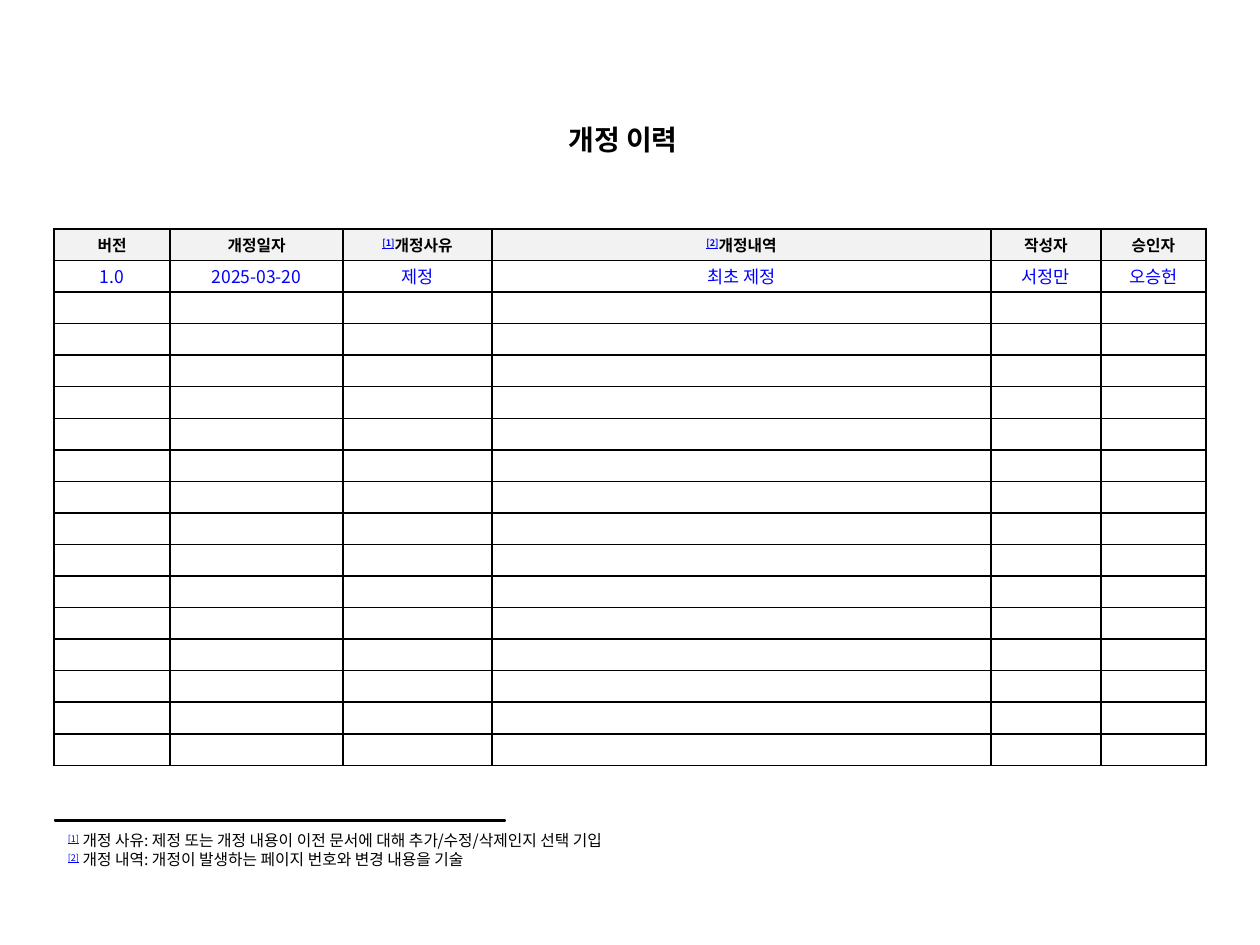
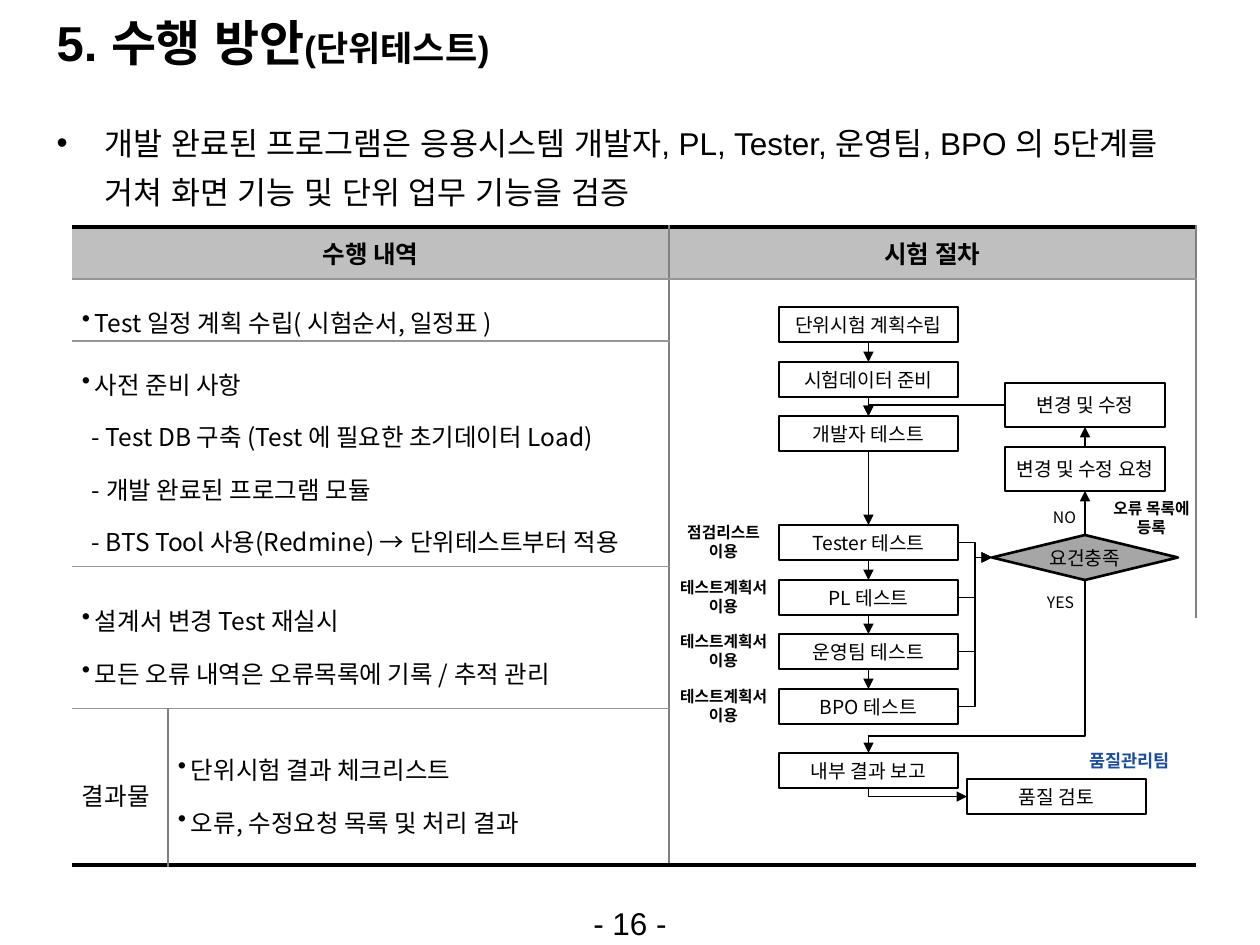
from lxml import etree
from pptx import Presentation
from pptx.dml.color import RGBColor
from pptx.enum.shapes import MSO_CONNECTOR, MSO_SHAPE
from pptx.enum.text import MSO_ANCHOR, MSO_AUTO_SIZE, PP_ALIGN
from pptx.oxml.ns import qn
from pptx.util import Inches, Pt

LEFT, CENTER = PP_ALIGN.LEFT, PP_ALIGN.CENTER
TOP, MIDDLE = MSO_ANCHOR.TOP, MSO_ANCHOR.MIDDLE
RECTANGLE, DECISION = MSO_SHAPE.RECTANGLE, MSO_SHAPE.FLOWCHART_DECISION
STRAIGHT, ELBOW = MSO_CONNECTOR.STRAIGHT, MSO_CONNECTOR.ELBOW

BLACK = RGBColor(0x00, 0x00, 0x00)
WHITE = RGBColor(0xFF, 0xFF, 0xFF)
BLUE = RGBColor(0x00, 0x00, 0xFF)
NAVY = RGBColor(0x1D, 0x4D, 0x93)
PALE_GRAY = RGBColor(0xF2, 0xF2, 0xF2)
HEADER_GRAY = RGBColor(0xBF, 0xBF, 0xBF)
DECISION_GRAY = RGBColor(0xA6, 0xA6, 0xA6)
ROW_GRAY = RGBColor(0x96, 0x96, 0x96)
COLUMN_GRAY = RGBColor(0x80, 0x80, 0x80)

KOREAN_FONT, LATIN_FONT = "Noto Sans CJK KR", "Arial"
NO_STYLE = "{2D5ABB26-0587-4C30-8999-92F81FD0307C}"
PIXELS_PER_INCH = 126

HISTORY_TITLE = "개정 이력"
HISTORY_HEADERS = ["버전", "개정일자", ("[1]", "개정사유"), ("[2]", "개정내역"), "작성자", "승인자"]
HISTORY_ENTRIES = [["1.0", "2025-03-20", "제정", "최초 제정", "서정만", "오승헌"]]
HISTORY_WIDTHS = [116, 173, 149, 499, 110, 105]
HISTORY_ROWS, HISTORY_HEIGHT = 17, 537
FOOTNOTES = [
    ("[1]", " 개정 사유: 제정 또는 개정 내용이 이전 문서에 대해 추가/수정/삭제인지 선택 기입"),
    ("[2]", " 개정 내역: 개정이 발생하는 페이지 번호와 변경 내용을 기술"),
]

METHOD_TITLE, METHOD_SUBTITLE = "5. 수행 방안", "(단위테스트)"
METHOD_SUMMARY = ("개발 완료된 프로그램은 응용시스템 개발자, PL, Tester, 운영팀, BPO 의 5단계를 "
                  "거쳐 화면 기능 및 단위 업무 기능을 검증")
PAGE_NUMBER = "- 16 -"
METHOD_WIDTHS = [96, 501, 527]
METHOD_HEIGHTS = [52, 62, 226, 51, 91, 156]
METHOD_HEADERS = {0: "수행 내역", 2: "시험 절차"}
METHOD_MERGES = [((0, 0), (0, 1)), ((1, 0), (1, 1)), ((2, 0), (2, 1)), ((3, 0), (4, 1))]
METHOD_ITEMS = {
    (1, 0): ["• Test 일정 계획 수립( 시험순서, 일정표 )"],
    (2, 0): ["• 사전 준비 사항", "- Test DB 구축 (Test 에 필요한 초기데이터 Load)",
             "- 개발 완료된 프로그램 모듈", "- BTS Tool 사용(Redmine) → 단위테스트부터 적용"],
    (3, 0): ["• 설계서 변경 Test 재실시", "• 모든 오류 내역은 오류목록에 기록 / 추적 관리"],
    (5, 0): ["결과물"],
    (5, 1): ["• 단위시험 결과 체크리스트", "• 오류, 수정요청 목록 및 처리 결과"],
}

STEP_LEFT, STEP_WIDTH, STEP_HEIGHT = 779, 179, 35
STEPS = [("단위시험 계획수립", 307), ("시험데이터 준비", 362), ("개발자 테스트", 416),
         ("Tester 테스트", 525), ("PL 테스트", 580), ("운영팀 테스트", 634),
         ("BPO 테스트", 689), ("내부 결과 보고", 753)]
TEST_TOPS = [top for text, top in STEPS[3:7]]
TEST_NOTES = [["점검리스트", "이용"]] + [["테스트계획서 이용"]] * 3
REVISIONS = [("변경 및 수정", 383), ("변경 및 수정 요청", 447)]
REVISION_LEFT, REVISION_WIDTH, REVISION_HEIGHT = 1005, 160, 44
DECISION_BOX = (992, 535, 186, 45)
REVIEW_BOX = (967, 779, 179, 35)
FLOW_LABELS = [
    (["YES"], (1047, 585, 49, 35), LEFT, 9, False, BLACK),
    (["NO"], (1053, 500, 43, 35), LEFT, 9, False, BLACK),
    (["오류 목록에", "등록"], (1094, 500, 115, 35), CENTER, 9, True, BLACK),
    (["품질관리팀"], (1089, 743, 105, 35), LEFT, 10, True, NAVY),
]


def px(value):
    return round(value * 914400 / PIXELS_PER_INCH)


def box_px(box):
    return [px(value) for value in box]


def style_paragraph(paragraph, size, bold=False, color=BLACK, align=LEFT, font_name=KOREAN_FONT):
    paragraph.alignment = align
    font = paragraph.font
    font.size, font.bold, font.name = Pt(size), bold, font_name
    font.color.rgb = color
    etree.SubElement(font._element, qn("a:ea"), typeface=font_name)


def set_indent(paragraph, left, first, bullet=False):
    properties = paragraph._p.get_or_add_pPr()
    properties.set("marL", str(px(left)))
    properties.set("indent", str(px(first)))
    if bullet:
        etree.SubElement(properties, qn("a:buChar"), char="•")


def write_text(frame, lines, size, **style):
    for index, line in enumerate(lines):
        paragraph = frame.paragraphs[0] if index == 0 else frame.add_paragraph()
        style_paragraph(paragraph, size, **style)
        if isinstance(line, tuple):
            mark, line = line
            run = paragraph.add_run()
            run.text = mark
            run.font.underline = True
            run.font.color.rgb = BLUE
            run.font._element.set("baseline", "30000")
        paragraph.add_run().text = line


def write_items(frame, items):
    for index, item in enumerate(items):
        paragraph = frame.paragraphs[0] if index == 0 else frame.add_paragraph()
        paragraph.line_spacing = 1.3
        if index:
            paragraph.space_before = Pt(3.5)
        bullet = item.startswith("• ")
        if bullet:
            set_indent(paragraph, 13, -13, True)
        elif item.startswith("- "):
            set_indent(paragraph, 10, 0)
        style_paragraph(paragraph, 14)
        paragraph.add_run().text = item[2:] if bullet else item


def set_margins(target, horizontal, vertical):
    target.margin_left = target.margin_right = px(horizontal)
    target.margin_top = target.margin_bottom = px(vertical)


def place(placeholder, box, anchor):
    placeholder.left, placeholder.top, placeholder.width, placeholder.height = box_px(box)
    frame = placeholder.text_frame
    frame.auto_size, frame.word_wrap = MSO_AUTO_SIZE.NONE, True
    frame.vertical_anchor = anchor
    return frame


def add_label(slide, lines, box, size, margins=(0, 0), **style):
    frame = slide.shapes.add_textbox(*box_px(box)).text_frame
    frame.word_wrap, frame.vertical_anchor = True, MIDDLE
    set_margins(frame, *margins)
    write_text(frame, lines, size, **style)


def add_box(slide, box, text="", kind=RECTANGLE, fill=WHITE, line_width=0.75):
    shape = slide.shapes.add_shape(kind, *box_px(box))
    shape.shadow.inherit = False
    shape.fill.solid()
    shape.fill.fore_color.rgb = fill
    shape.line.color.rgb = BLACK
    shape.line.width = Pt(line_width)
    if text:
        shape.text_frame.word_wrap = False
        shape.text_frame.vertical_anchor = MIDDLE
        write_text(shape.text_frame, [text], 11, align=CENTER)


def add_arrow(slide, start, end, kind=STRAIGHT, downward=False, preset=None, bend=None):
    if downward:
        center_x, center_y = (start[0] + end[0]) / 2, (start[1] + end[1]) / 2
        half_x, half_y = (end[0] - start[0]) / 2, (end[1] - start[1]) / 2
        start = (center_x - half_y, center_y + half_x)
        end = (center_x + half_y, center_y - half_x)
    connector = slide.shapes.add_connector(kind, *box_px(start + end))
    connector.line.color.rgb = BLACK
    connector.line.width = Pt(0.75)
    properties = connector._element.spPr
    etree.SubElement(properties.find(qn("a:ln")), qn("a:tailEnd"), type="triangle")
    etree.SubElement(properties, qn("a:effectLst"))
    geometry = properties.find(qn("a:prstGeom"))
    if downward:
        properties.find(qn("a:xfrm")).set("rot", "5400000")
    if preset:
        geometry.set("prst", preset)
    if bend:
        etree.SubElement(geometry.find(qn("a:avLst")), qn("a:gd"), name="adj1", fmla=f"val {bend}")


def set_borders(cell, borders):
    properties = cell._tc.get_or_add_tcPr()
    index = 0
    for side in "LRTB":
        if side in borders:
            color, width = borders[side]
            line = etree.Element(qn(f"a:ln{side}"), w=str(Pt(width)))
            fill = etree.SubElement(line, qn("a:solidFill"))
            etree.SubElement(fill, qn("a:srgbClr"), val=str(color))
            properties.insert(index, line)
            index += 1


def add_grid(slide, left, top, widths, heights):
    frame = slide.shapes.add_table(len(heights), len(widths), px(left), px(top),
                                   px(sum(widths)), px(sum(heights)))
    table = frame.table
    table.first_row = table.horz_banding = False
    table._tbl.tblPr.find(qn("a:tableStyleId")).text = NO_STYLE
    for column, width in zip(table.columns, widths):
        column.width = px(width)
    for row, height in zip(table.rows, heights):
        row.height = px(height)
    for cell in table.iter_cells():
        cell.fill.background()
        cell.vertical_anchor = MIDDLE
        set_margins(cell, 0, 0)
    return table


def fill_cell(cell, color):
    cell.fill.solid()
    cell.fill.fore_color.rgb = color


def finish_empty_cells(table):
    for cell in table.iter_cells():
        if not cell.text_frame.text:
            etree.SubElement(cell.text_frame.paragraphs[0]._p, qn("a:endParaRPr"), sz="900")


def build_history(presentation):
    slide = presentation.slides.add_slide(presentation.slide_layouts[5])
    frame = place(slide.shapes.title, (430, 116, 386, 46), MIDDLE)
    write_text(frame, [HISTORY_TITLE], 16, bold=True, align=CENTER)
    add_label(slide, FOOTNOTES, (55, 825, 629, 50), 9, margins=(13, 6))
    add_box(slide, (55, 820, 450, 1), fill=BLACK)

    table = add_grid(slide, 54, 229, HISTORY_WIDTHS, [HISTORY_HEIGHT / HISTORY_ROWS] * HISTORY_ROWS)
    for cell in table.iter_cells():
        set_borders(cell, dict.fromkeys("LRTB", (BLACK, 1)))
    for column, header in enumerate(HISTORY_HEADERS):
        cell = table.cell(0, column)
        fill_cell(cell, PALE_GRAY)
        set_margins(cell, 5, 3)
        write_text(cell.text_frame, [header], 9, bold=True, align=CENTER)
    for row, entry in enumerate(HISTORY_ENTRIES, 1):
        for column, value in enumerate(entry):
            write_text(table.cell(row, column).text_frame, [value], 10, color=BLUE, align=CENTER)
    finish_empty_cells(table)


def build_method_table(slide):
    table = add_grid(slide, 72, 227, METHOD_WIDTHS, METHOD_HEIGHTS)
    last_row = len(METHOD_HEIGHTS) - 1
    for row in range(last_row + 1):
        for column in range(len(METHOD_WIDTHS)):
            borders = {}
            if row == 0:
                borders["T"] = (BLACK, 2.25)
            if row == last_row:
                borders["B"] = (BLACK, 2.25)
            elif row == 0 or column < 2:
                borders["B"] = (ROW_GRAY, 0.75)
            if column == 2:
                borders["L"] = (COLUMN_GRAY, 1)
            if (row, column) == (last_row, 0):
                borders["R"] = (COLUMN_GRAY, 1)
            cell = table.cell(row, column)
            set_borders(cell, borders)
            if row == 0:
                fill_cell(cell, HEADER_GRAY)
    for first, last in METHOD_MERGES:
        table.cell(*first).merge(table.cell(*last))
    for column, header in METHOD_HEADERS.items():
        write_text(table.cell(0, column).text_frame, [header], 14, bold=True, align=CENTER)
    for position, items in METHOD_ITEMS.items():
        cell = table.cell(*position)
        set_margins(cell, 10, 8)
        cell.margin_top = px(14)
        write_items(cell.text_frame, items)
    finish_empty_cells(table)


def build_flow(slide):
    spine = STEP_LEFT + STEP_WIDTH / 2
    step_right = STEP_LEFT + STEP_WIDTH
    decision_left, decision_top, decision_width, decision_height = DECISION_BOX
    decision_x = decision_left + decision_width / 2
    decision_y = decision_top + decision_height / 2
    revise_top, request_top = [top for text, top in REVISIONS]
    report_top = STEPS[-1][1]

    for text, top in STEPS:
        add_box(slide, (STEP_LEFT, top, STEP_WIDTH, STEP_HEIGHT), text)
    for text, top in REVISIONS:
        add_box(slide, (REVISION_LEFT, top, REVISION_WIDTH, REVISION_HEIGHT), text)
    add_box(slide, DECISION_BOX, "요건충족", DECISION, DECISION_GRAY, 1.5)
    add_box(slide, REVIEW_BOX, "품질 검토")

    for (_, top), (_, next_top) in zip(STEPS[:-2], STEPS[1:-1]):
        add_arrow(slide, (spine, top + STEP_HEIGHT), (spine, next_top))
    for top, note in zip(TEST_TOPS, TEST_NOTES):
        add_arrow(slide, (step_right, top + STEP_HEIGHT / 2), (decision_left, decision_y), ELBOW)
        add_label(slide, note, (668, top, 111, 33), 9, bold=True, align=CENTER)
    add_arrow(slide, (decision_x, decision_top), (decision_x, request_top + REVISION_HEIGHT))
    add_arrow(slide, (decision_x, request_top), (decision_x, revise_top + REVISION_HEIGHT))
    add_arrow(slide, (REVISION_LEFT, revise_top + REVISION_HEIGHT / 2), (spine, STEPS[2][1]),
              ELBOW, preset="bentConnector2")
    add_arrow(slide, (decision_x, decision_top + decision_height), (spine, report_top),
              ELBOW, downward=True, bend=90200)
    add_arrow(slide, (spine, report_top + STEP_HEIGHT),
              (REVIEW_BOX[0], REVIEW_BOX[1] + REVIEW_BOX[3] / 2),
              ELBOW, downward=True, preset="bentConnector2")
    for lines, box, align, size, bold, color in FLOW_LABELS:
        add_label(slide, lines, box, size, align=align, bold=bold, color=color)


def build_method(presentation):
    slide = presentation.slides.add_slide(presentation.slide_layouts[1])
    frame = place(slide.shapes.title, (44, 6, 1171, 78), TOP)
    write_text(frame, [METHOD_TITLE], 28, bold=True, font_name=LATIN_FONT)
    subtitle = frame.paragraphs[0].add_run()
    subtitle.text = METHOD_SUBTITLE
    subtitle.font.size = Pt(20)

    frame = place(slide.placeholders[1], (44, 106, 1171, 738), TOP)
    paragraph = frame.paragraphs[0]
    paragraph.line_spacing = 1.3
    paragraph.space_before = Pt(0)
    set_indent(paragraph, 48, -48, True)
    write_text(frame, [METHOD_SUMMARY], 18, font_name=LATIN_FONT)

    add_label(slide, [PAGE_NUMBER], (546, 901, 168, 44), 18, align=CENTER, font_name=LATIN_FONT)
    build_method_table(slide)
    build_flow(slide)


def main():
    presentation = Presentation()
    presentation.slide_width, presentation.slide_height = Inches(10), Inches(7.5)
    build_history(presentation)
    build_method(presentation)
    presentation.save("out.pptx")


if __name__ == "__main__":
    main()
